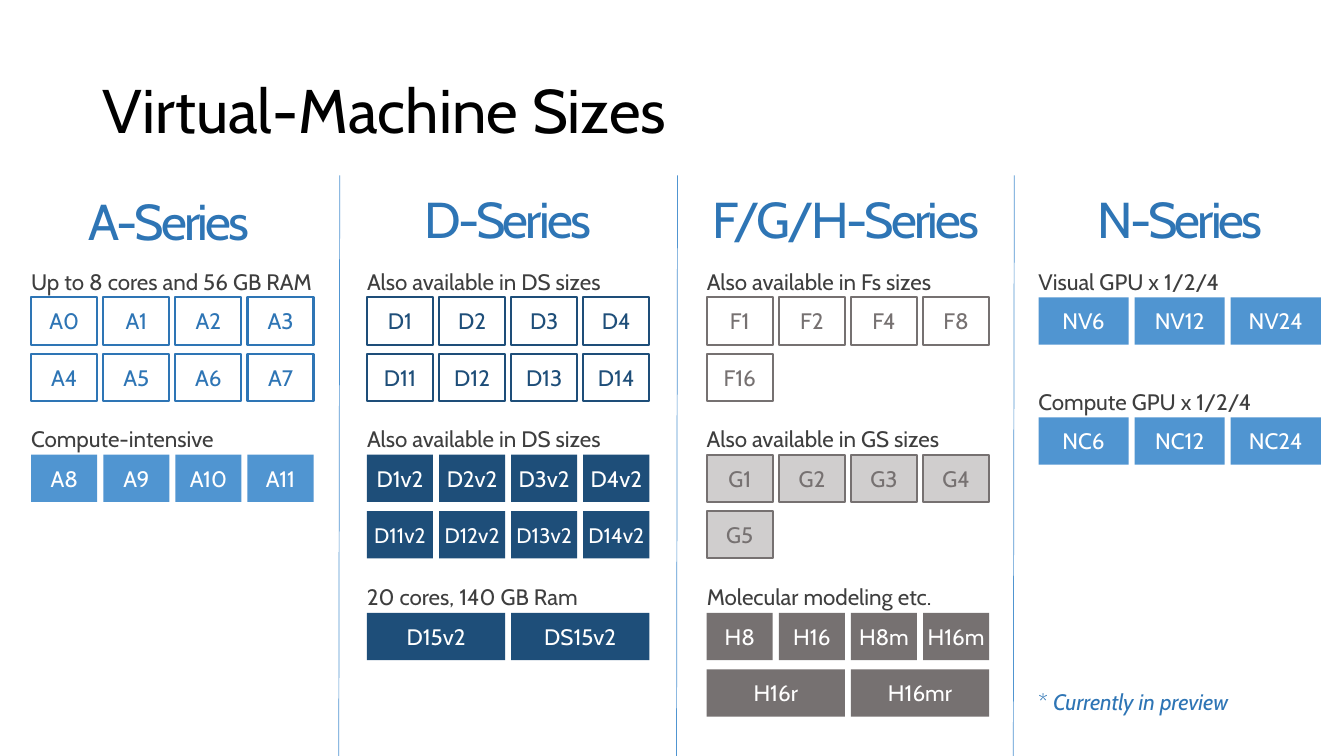
import pptx
import pptx.util
import pptx.dml.color
import pptx.enum.shapes
import pptx.enum.text
import pptx.oxml.ns
import lxml.etree

PX = 9144  # one hundred px to the inch
FONT = "Cabin"
ROW_WIDTH, TILE_HEIGHT, TILE_GAP = 280, 47, 6
ROW_PITCH, CAPTION_TO_TILES = 56, 26
COLORS = {
    "black": "000000", "white": "FFFFFF", "text": "3E3E3E",
    "blue": "2E75B5", "sky": "5095D1", "navy": "1E4E79",
    "gray": "767171", "silver": "D0CECE",
}
# Tile style: fill, line, text
STYLES = {
    "blue outline": (None, "blue", "blue"),
    "navy outline": (None, "navy", "navy"),
    "gray outline": (None, "gray", "gray"),
    "silver": ("silver", "gray", "gray"),
    "sky": ("sky", None, "white"),
    "navy": ("navy", None, "white"),
    "gray": ("gray", None, "white"),
}
# Heading, left, top, width
HEADINGS = [
    ("A-Series", 0, 187, 335),
    ("D-Series", 336, 185, 335),
    ("F/G/H-Series", 672, 185, 334),
    ("N-Series", 1007, 185, 327),
]
# Caption, left, top, width, tile style, rows of (tiles across, names)
GROUPS = [
    ("Up to 8 cores and 56 GB RAM", 31, 269, 294, "blue outline",
     [(4, "A0 A1 A2 A3"), (4, "A4 A5 A6 A7")]),
    ("Compute-intensive", 31, 425, 187, "sky", [(4, "A8 A9 A10 A11")]),
    ("Also available in DS sizes", 364, 269, 245, "navy outline",
     [(4, "D1 D2 D3 D4"), (4, "D11 D12 D13 D14")]),
    ("Also available in DS sizes", 364, 425, 245, "navy",
     [(4, "D1v2 D2v2 D3v2 D4v2"), (4, "D11v2 D12v2 D13v2 D14v2")]),
    ("20 cores, 140 GB Ram", 364, 582, 220, "navy", [(2, "D15v2 DS15v2")]),
    ("Also available in Fs sizes", 701, 269, 238, "gray outline",
     [(4, "F1 F2 F4 F8"), (4, "F16")]),
    ("Also available in GS sizes", 701, 425, 244, "silver",
     [(4, "G1 G2 G3 G4"), (4, "G5")]),
    ("Molecular modeling etc.", 701, 582, 239, "gray",
     [(4, "H8 H16 H8m H16m"), (2, "H16r H16mr")]),
    ("Visual GPU x 1/2/4", 1030, 269, 220, "sky", [(3, "NV6 NV12 NV24")]),
    ("Compute GPU x 1/2/4", 1030, 388, 220, "sky", [(3, "NC6 NC12 NC24")]),
]
DIVIDERS = [337, 672, 1006]


def px(*lengths):
    return [pptx.util.Emu(round(length * PX)) for length in lengths]


def rgb(name):
    return pptx.dml.color.RGBColor.from_string(COLORS[name])


def format_para(para, size, color, align="LEFT", spacing=None):
    para.alignment = getattr(pptx.enum.text.PP_ALIGN, align)
    para.line_spacing = spacing
    for span in para.runs:
        span.font.name = FONT
        span.font.size = pptx.util.Pt(size)
        span.font.color.rgb = rgb(color)


def add_title(page, text):
    title = page.shapes.title
    title.left, title.top, title.width, title.height = px(92, 40, 1150, 145)
    title.text_frame.text = text
    title.text_frame.vertical_anchor = pptx.enum.text.MSO_ANCHOR.MIDDLE
    format_para(title.text_frame.paragraphs[0], 44, "black", spacing=0.9)


def add_heading(page, text, left, top, width):
    frame = page.shapes.add_textbox(*px(left, top, width, 68)).text_frame
    frame.text = text
    frame.word_wrap = True
    frame.auto_size = pptx.enum.text.MSO_AUTO_SIZE.SHAPE_TO_FIT_TEXT
    frame.vertical_anchor = pptx.enum.text.MSO_ANCHOR.BOTTOM
    para = frame.paragraphs[0]
    format_para(para, 36, "blue", "CENTER", 0.95)
    para.runs[0]._r.get_or_add_rPr().set("spc", "-200")


def add_caption(page, text, left, top, width, color="text"):
    frame = page.shapes.add_textbox(*px(left, top, width, 24)).text_frame
    frame.text = text
    frame.margin_left = frame.margin_right = 0
    frame.margin_top = frame.margin_bottom = 0
    frame.word_wrap = False
    frame.auto_size = pptx.enum.text.MSO_AUTO_SIZE.SHAPE_TO_FIT_TEXT
    format_para(frame.paragraphs[0], 16, color, spacing=0.9)
    return frame.paragraphs[0]


def add_tile(page, text, left, top, width, style, size):
    fill, line, color = STYLES[style]
    tile = page.shapes.add_shape(
        pptx.enum.shapes.MSO_SHAPE.RECTANGLE, *px(left, top, width, TILE_HEIGHT))
    tile.shadow.inherit = False
    if fill:
        tile.fill.solid()
        tile.fill.fore_color.rgb = rgb(fill)
    else:
        tile.fill.background()
    if line:
        tile.line.color.rgb = rgb(line)
        tile.line.width = pptx.util.Pt(1.5)
    else:
        tile.line.fill.background()
    frame = tile.text_frame
    frame.text = text
    frame.word_wrap = False
    frame.vertical_anchor = pptx.enum.text.MSO_ANCHOR.MIDDLE
    format_para(frame.paragraphs[0], size, color, "CENTER")


def add_group(page, caption, left, top, width, style, rows):
    add_caption(page, caption, left, top, width)
    for row, (across, names) in enumerate(rows):
        tile_width = (ROW_WIDTH - TILE_GAP * (across - 1)) / across
        tile_top = top + CAPTION_TO_TILES + row * ROW_PITCH
        for column, name in enumerate(names.split()):
            tile_left = left + column * (tile_width + TILE_GAP)
            size = 15 if across == 4 and len(name) > 4 else 16
            add_tile(page, name, tile_left, tile_top, tile_width, style, size)


def add_divider(page, x):
    divider = page.shapes.add_connector(
        pptx.enum.shapes.MSO_CONNECTOR.STRAIGHT, *px(x, 174, x - 1, 750))
    divider.line.color.rgb = rgb("sky")
    divider.line.width = pptx.util.Pt(0.5)
    lxml.etree.SubElement(
        divider._element.spPr, pptx.oxml.ns.qn("a:effectLst"))


def add_footnote(page):
    para = add_caption(page, "* ", 1030, 686, 213, "blue")
    para.add_run().text = "Currently in preview"
    format_para(para, 16, "blue", spacing=0.9)
    para.runs[1].font.italic = True


def main():
    deck = pptx.Presentation()
    deck.slide_width, deck.slide_height = px(1333, 750)
    page = deck.slides.add_slide(deck.slide_layouts[5])
    add_title(page, "Virtual-Machine Sizes")
    # Series columns
    for heading in HEADINGS:
        add_heading(page, *heading)
    for group in GROUPS:
        add_group(page, *group)
    # Separators and note
    for x in DIVIDERS:
        add_divider(page, x)
    add_footnote(page)
    deck.save("out.pptx")


if __name__ == "__main__":
    main()
